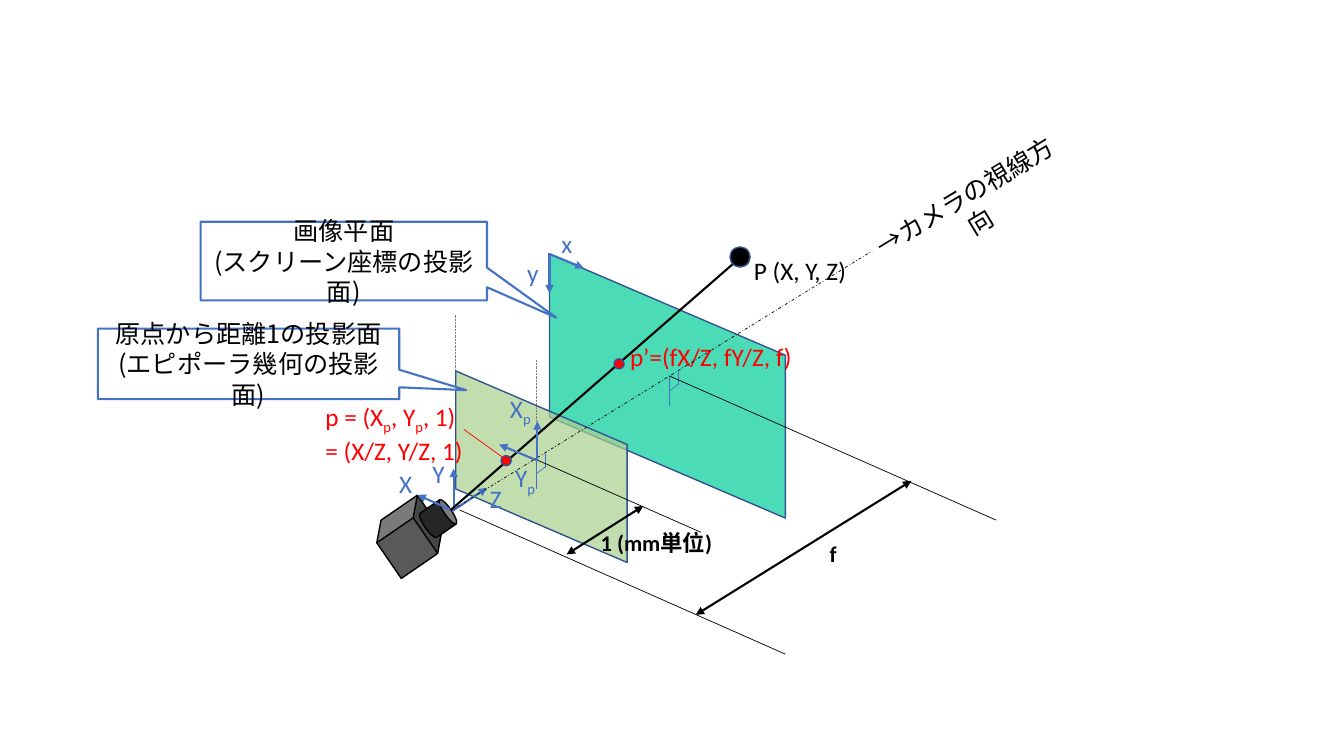
from lxml import etree
from pptx import Presentation
from pptx.dml.color import RGBColor
from pptx.enum.dml import MSO_LINE
from pptx.enum.shapes import MSO_CONNECTOR, MSO_SHAPE
from pptx.enum.text import MSO_ANCHOR, MSO_AUTO_SIZE, PP_ALIGN
from pptx.oxml.ns import qn
from pptx.util import Inches, Pt

BLUE = RGBColor(0x44, 0x72, 0xC4)
NAVY = RGBColor(0x32, 0x54, 0x91)
BLACK = RGBColor(0, 0, 0)
WHITE = RGBColor(0xFF, 0xFF, 0xFF)
RED = RGBColor(0xFF, 0, 0)
GRAY = RGBColor(0x80, 0x80, 0x80)
BODY = RGBColor(0x59, 0x59, 0x59)
LENS = RGBColor(0x26, 0x26, 0x26)
TEAL = RGBColor(0, 0xCC, 0x99)
GREEN = RGBColor(0xA9, 0xD1, 0x8E)

PLANE = MSO_SHAPE.PARALLELOGRAM
CUBE = MSO_SHAPE.CUBE
CAN = MSO_SHAPE.CAN
OVAL = MSO_SHAPE.OVAL
CALLOUT = MSO_SHAPE.RECTANGULAR_CALLOUT
STRAIGHT = MSO_CONNECTOR.STRAIGHT
DOT = MSO_LINE.ROUND_DOT
CHAIN = MSO_LINE.DASH_DOT
LEFT = PP_ALIGN.LEFT
CENTER = PP_ALIGN.CENTER
MIDDLE = MSO_ANCHOR.MIDDLE
GROW = MSO_AUTO_SIZE.SHAPE_TO_FIT_TEXT

LATIN = "Calibri"
ASIAN = "Noto Sans CJK JP"


def write(frame, text, size=18, color=BLACK, font=LATIN, bold=False, align=LEFT):
    frame.word_wrap = True
    for i, row in enumerate(text.split("\n")):
        para = frame.paragraphs[0] if i == 0 else frame.add_paragraph()
        para.alignment = align
        first, *rest = row.split("_")
        parts = [(first, False)]
        for part in rest:
            parts += [(part[:1], True), (part[1:], False)]
        for words, sub in parts:
            if not words:
                continue
            run = para.add_run()
            run.text = words
            run.font.size = Pt(size)
            run.font.bold = bold
            run.font.color.rgb = color
            run.font.name = font
            props = run._r.get_or_add_rPr()
            etree.SubElement(props, qn("a:ea"), typeface=ASIAN)
            if sub:
                props.set("baseline", "-25000")


class Canvas:
    def __init__(self, slide):
        self.shapes = slide.shapes

    def shape(self, kind, box, fill, line=NAVY, width=1, turn=0, adjust=(), alpha=None):
        item = self.shapes.add_shape(kind, *map(Inches, box))
        item.shadow.inherit = False
        item.rotation = turn
        for i, value in enumerate(adjust):
            item.adjustments[i] = value
        item.fill.solid()
        item.fill.fore_color.rgb = fill
        if alpha:
            tint = item._element.spPr.find(qn("a:solidFill"))[0]
            etree.SubElement(tint, qn("a:alpha"), val=str(alpha * 1000))
        item.line.color.rgb = line
        item.line.width = Pt(width)
        return item

    def dot(self, x, y, size, fill):
        self.shape(OVAL, (x, y, size, size), fill)

    def callout(self, box, text, adjust):
        item = self.shape(CALLOUT, box, WHITE, BLUE, 1.5, adjust=adjust)
        item.text_frame.vertical_anchor = MIDDLE
        write(item.text_frame, text, font=ASIAN, align=CENTER)

    def label(self, box, text, turn=0, **style):
        item = self.shapes.add_textbox(*map(Inches, box))
        item.rotation = turn
        write(item.text_frame, text, **style)
        item.text_frame.auto_size = GROW

    def line(self, start, end, color=BLACK, width=0.5, dash=None, ends=()):
        item = self.shapes.add_connector(STRAIGHT, *map(Inches, start + end))
        item.line.color.rgb = color
        item.line.width = Pt(width)
        if dash:
            item.line.dash_style = dash
        props = item._element.spPr
        for tip in ends:
            etree.SubElement(props.find(qn("a:ln")), qn("a:" + tip), type="triangle")
        etree.SubElement(props, qn("a:effectLst"))

    def axis(self, start, end):
        self.line(start, end, BLUE, 1.5, ends=("tailEnd",))

    def span(self, start, end):
        self.line(start, end, width=1.5, ends=("headEnd", "tailEnd"))

    def corner(self, x, y):
        for a, b, c, d in ((0, 0, 0, 0.3), (0.09, -0.05, 0.09, 0.09), (0.09, 0.08, 0, 0.15)):
            self.line((x + a, y + b), (x + c, y + d), BLUE)


def main():
    deck = Presentation()
    deck.slide_width = Inches(13.33)
    deck.slide_height = Inches(7.5)
    view = Canvas(deck.slides.add_slide(deck.slide_layouts[6]))

    view.shape(PLANE, (5.31, 2.66, 2.62, 2.34), TEAL, turn=270, adjust=(0.429,), alpha=70)
    view.shape(CUBE, (3.76, 5.03, 0.6, 0.59), BODY, BLACK, turn=325.5, adjust=(0.274,))
    view.shape(CAN, (4.2, 4.99, 0.29, 0.31), LENS, BLACK, turn=55.5)
    view.shape(PLANE, (4.42, 3.78, 1.9, 1.7), GREEN, turn=270, adjust=(0.429,), alpha=70)

    for text, x, y in (
        ("Z", 4.76, 4.75), ("X", 3.86, 4.6), ("Y", 4.19, 4.5),
        ("X_p", 4.96, 3.85), ("Y_p", 5.01, 4.54),
    ):
        view.label((x, y, 0.5, 0.4), text, color=BLUE)
    for start, end in (
        ((4.5, 5.06), (4.83, 4.84)),
        ((4.5, 5.05), (4.5, 4.65)),
        ((4.5, 5.07), (4.14, 4.91)),
    ):
        view.axis(start, end)

    view.line((4.47, 5.06), (7.36, 2.54), width=1.5)
    view.dot(4.97, 4.52, 0.1, RED)
    view.dot(7.24, 2.45, 0.2, BLACK)
    view.label((7.38, 2.48, 1.56, 0.4), "P (X, Y, Z)")
    view.callout((1.99, 2.2, 2.84, 0.78), "画像平面\n(スクリーン座標の投影面)", (0.742, 0.72))

    view.axis((5.45, 2.52), (5.79, 2.66))
    view.axis((5.45, 2.51), (5.45, 2.91))
    view.label((5.47, 2.22, 0.5, 0.4), "x", color=BLUE)
    view.label((5.13, 2.5, 0.5, 0.4), "y", color=BLUE)
    view.dot(6.09, 3.56, 0.1, RED)
    view.label((6.15, 3.34, 2.09, 0.4), "p’=(fX/Z, fY/Z, f)", color=RED)
    view.label((8.37, 1.74, 2.4, 0.4), "→カメラの視線方向", 328.9, font=ASIAN, align=CENTER)
    view.line((4.47, 5.07), (8.65, 2.49), dash=CHAIN)
    view.corner(6.64, 3.73)
    view.corner(5.32, 4.55)
    view.callout((0.97, 3.26, 2.99, 0.7), "原点から距離1の投影面\n(エピポーラ幾何の投影面)", (0.722, 0.373))

    view.line((4.56, 5.06), (7.79, 6.49))
    view.line((5.32, 4.56), (6.95, 5.28))
    view.line((6.64, 3.73), (9.88, 5.16))
    view.span((5.62, 5.5), (6.38, 5.02))
    view.span((6.9, 6.1), (9.04, 4.77))
    view.label((5.86, 5.2, 1.51, 0.37), "1 (mm単位)", size=16, bold=True)
    view.label((8.13, 5.31, 0.36, 0.37), "f", size=16, bold=True)
    view.label((3.13, 3.93, 1.77, 0.71), "p = (X_p, Y_p, 1)\n= (X/Z, Y/Z, 1)", color=RED)

    view.line((5.32, 4.57), (5.32, 3.57), GRAY, dash=DOT)
    view.line((4.52, 3.68), (4.52, 3.12), GRAY, dash=DOT)
    view.line((4.99, 4.54), (4.6, 4.26), RED)
    view.axis((5.33, 4.57), (4.95, 4.41))
    view.axis((5.33, 4.56), (5.33, 4.18))

    deck.save("out.pptx")


if __name__ == "__main__":
    main()
